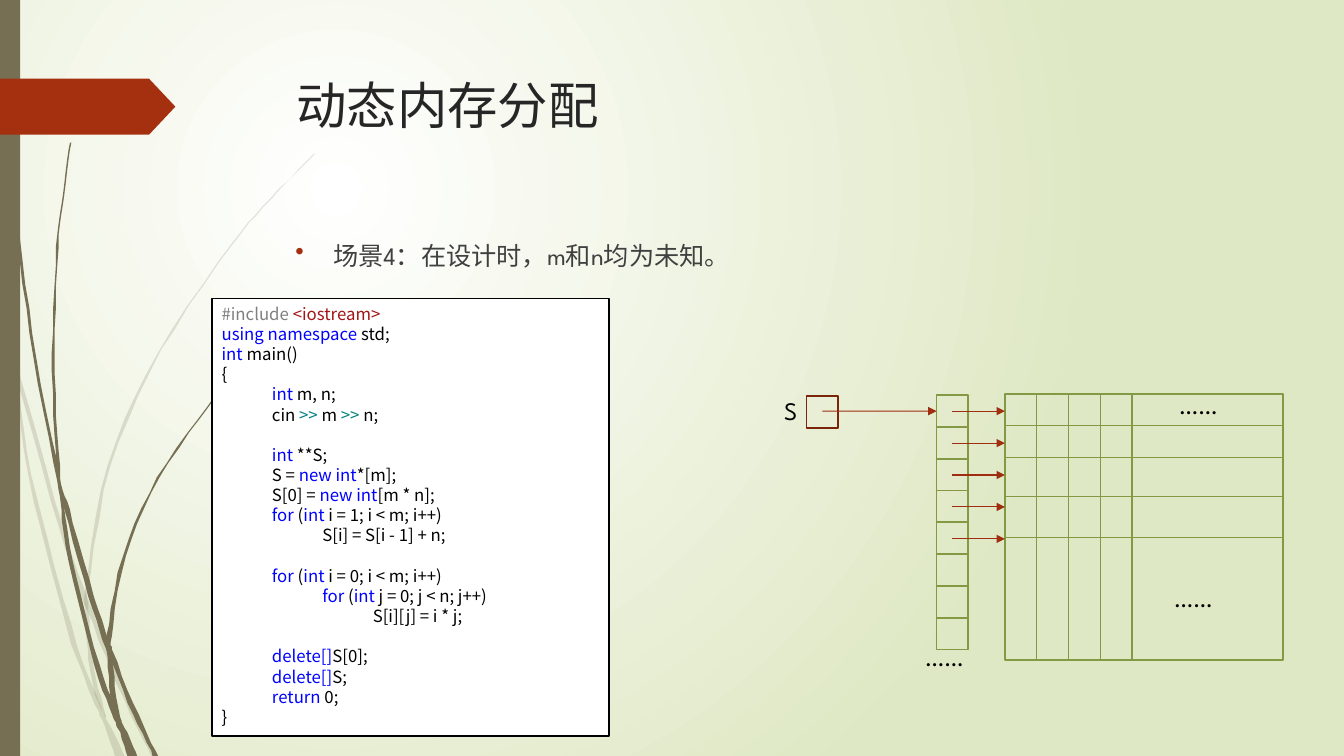
from dataclasses import dataclass
from pptx import Presentation
from pptx.dml.color import RGBColor as RGB
from pptx.enum.shapes import MSO_CONNECTOR as LINK, MSO_SHAPE as SHAPE
from pptx.enum.text import MSO_ANCHOR as ANCHOR, PP_ALIGN as ALIGN
from pptx.oxml.ns import qn
from pptx.oxml.xmlchemy import OxmlElement as Node
from pptx.util import Pt


@dataclass(frozen=True)
class Theme:
    face: str = "League Spartan"
    mono: str = "Noto Sans CJK SC"
    head: int = 36
    body: int = 18
    code: int = 12
    white: str = "FFFFFF"
    black: str = "000000"
    pale: str = "DFE8C4"
    olive: str = "766F54"
    red: str = "A53010"
    title: str = "262626"
    text: str = "404040"
    green: str = "839943"
    arrow: str = "9E2E0F"
    root: str = "7A240C"
    key: str = "0000FF"


T = Theme()
TINTS = {"#include ": "808080", "<iostream>": "A31515", ">>": "008080"}

# Text between bars is coloured; two spaces make one level.
CODE = """|#include ||<iostream>|
|using namespace |std;
|int| main()
{
  |int| m, n;
  cin |>>| m |>>| n;

  |int| **S;
  S = |new int|*[m];
  S[0] = |new int|[m * n];
  |for| (|int| i = 1; i < m; i++)
    S[i] = S[i - 1] + n;

  |for| (|int| i = 0; i < m; i++)
    |for| (|int| j = 0; j < n; j++)
      S[i][j] = i * j;

  |delete[]|S[0];
  |delete[]|S;
  |return| 0;
}"""

# Each grass blade: left edge, height on the slide, width.
FAINT = [
    [(0, 203, 0), (0, 215, 3), (7.5, 248, 2.7), (12.2, 271, 3), (41.8, 376, 3.2),
     (60.5, 431, 3.5), (88.6, 500, 3.5), (108, 540, 3.6)],
    [(8, 252, 0), (12, 271, 0.6), (20, 338, 2.2), (46.7, 446, 4), (66.2, 499, 3.3),
     (72.7, 514, 3.8), (82, 540, 7)],
    [(224.3, 110, 0.7), (192.7, 142, 0.8), (164.2, 176, 1), (113.5, 250.5, 1.8),
     (77, 332, 2.2), (61.2, 420.5, 2), (60.5, 431, 2.7), (62.6, 465, 2.9),
     (67, 492, 3.5), (75, 512, 0.5)],
]
DARK = [
    [(2.2, 0, 0.7), (2.9, 34.6, 0.7), (5, 79, 0.8), (12.3, 167.5, 1.4),
     (23.8, 255.6, 2.2), (40.7, 343.5, 2.7), (46, 363.6, 3.5), (63.4, 426, 4),
     (76.3, 464.4, 4), (95, 510, 3.6), (109.4, 539.5, 3.6)],
    [(50.2, 101.5, 0.4), (44.6, 139, 0.9), (40.3, 176.4, 1.4), (37.4, 251.3, 1.5),
     (39.6, 323.3, 2.2), (43.5, 363.6, 2.6), (49, 401, 3), (67, 474.5, 4),
     (80, 510, 4.3), (84.2, 519.8, 4.7), (91.4, 539.5, 6.5)],
    [(187.2, 247.7, 0.7), (166.3, 268.6, 0.8), (146.9, 291.6, 1), (112.3, 341.3, 1.7),
     (87.8, 396.7, 2.2), (76.3, 454.3, 3.5), (76.3, 464.4, 3.7), (79.2, 497.5, 4),
     (84.2, 519.8, 3)],
]


def paint(shape, fill=None, line=None, width=1.25):
    shape.shadow.inherit = False
    if fill:
        shape.fill.solid()
        shape.fill.fore_color.rgb = RGB.from_string(fill)
    else:
        shape.fill.background()
    if line:
        shape.line.color.rgb = RGB.from_string(line)
        shape.line.width = Pt(width)
    else:
        shape.line.fill.background()


def style(run, size, color, face=T.face):
    run.font.size = Pt(size)
    run.font.color.rgb = RGB.from_string(color)
    run.font.name = face
    east = Node("a:ea")
    east.set("typeface", T.mono)
    run.font._element.find(qn("a:latin")).addnext(east)


deck = Presentation()
deck.slide_width, deck.slide_height = Pt(960), Pt(540)
slide = deck.slides.add_slide(deck.slide_layouts[5])
shapes = slide.shapes

# Background
back = slide.background.fill
back.gradient()
for stop, color in zip(back.gradient_stops, (T.white, T.pale)):
    stop.color.rgb = RGB.from_string(color)
grad = slide._element.find(".//" + qn("a:gradFill"))
grad.remove(grad.find(qn("a:lin")))
ring, focus = Node("a:path"), Node("a:fillToRect")
ring.set("path", "circle")
for side, part in zip("ltrb", (50000, 50000, 100000, 100000)):
    focus.set(side, str(part))
ring.append(focus)
grad.append(ring)

# Grass blades, smoothed through their points
for blade in FAINT + DARK:
    ends = [blade[0], *blade, blade[-1]]
    mids = []
    for a, b, c, d in zip(ends, ends[1:], ends[2:], ends[3:]):
        for t in (0, 0.2, 0.4, 0.6, 0.8):
            mids.append([
                q + t / 2 * (r - p + t * (2 * p - 5 * q + 4 * r - s + t * (3 * (q - r) + s - p)))
                for p, q, r, s in zip(a, b, c, d)])
    mids.append(blade[-1])
    rim = [(x, y) for x, y, w in mids] + [(x + w, y) for x, y, w in reversed(mids)]
    pen = shapes.build_freeform(*rim[0], scale=Pt(1))
    pen.add_line_segments(rim[1:], close=True)
    leaf = pen.convert_to_shape()
    paint(leaf, T.olive)
    if blade in FAINT:
        alpha = Node("a:alpha")
        alpha.set("val", "20000")
        leaf._element.spPr.find(".//" + qn("a:srgbClr")).append(alpha)

bar = shapes.add_shape(SHAPE.RECTANGLE, 0, 0, Pt(14.4), Pt(540))
paint(bar, T.olive)
tag = shapes.add_shape(SHAPE.PENTAGON, 0, Pt(56.2), Pt(125.3), Pt(40))
tag.adjustments[0] = 0.47
paint(tag, T.red)

# Title and bullet
title = shapes.title
title.left, title.top, title.width, title.height = Pt(204.5), Pt(49), Pt(702), Pt(100.8)
frame = title.text_frame
frame.text = "动态内存分配"
frame.vertical_anchor = ANCHOR.TOP
frame.paragraphs[0].alignment = ALIGN.LEFT
style(frame.paragraphs[0].runs[0], T.head, T.title)

body = shapes.add_textbox(Pt(203.8), Pt(167.8), Pt(702), Pt(297)).text_frame
body.word_wrap = True
body.text = "场景4：在设计时，m和n均为未知。"
style(body.paragraphs[0].runs[0], T.body, T.text)
props = body.paragraphs[0]._p.get_or_add_pPr()
props.set("marL", str(Pt(27)))
props.set("indent", str(Pt(-27)))
tint, rgb, dot = Node("a:buClr"), Node("a:srgbClr"), Node("a:buChar")
rgb.set("val", T.red)
tint.append(rgb)
dot.set("char", "•")
props.extend([tint, dot])

# Code listing
panel = shapes.add_shape(SHAPE.RECTANGLE, Pt(151.2), Pt(213.2), Pt(283.6), Pt(312.4))
paint(panel, T.white, T.black)
frame = panel.text_frame
frame.word_wrap = True
frame.vertical_anchor = ANCHOR.TOP
pitch, gap, para = Pt(14.4), 0, frame.paragraphs[0]
for row in CODE.split("\n"):
    if not row:
        gap = pitch
        continue
    para = para if not para.runs else frame.add_paragraph()
    para.alignment, para.line_spacing, para.space_before = ALIGN.LEFT, pitch, gap
    gap, line = 0, row.lstrip(" ")
    para._p.get_or_add_pPr().set("marL", str(Pt(18 * (len(row) - len(line)))))
    for n, word in enumerate(line.split("|")):
        if word:
            run = para.add_run()
            run.text = word
            style(run, T.code, TINTS.get(word, T.key) if n % 2 else T.black, T.mono)

# Matrix, row pointers and the root pointer
left, top, wide, high, step = 717.8, 281.5, 198.8, 189.8, 22.7
grid = shapes.add_shape(SHAPE.RECTANGLE, Pt(left), Pt(top), Pt(wide), Pt(high))
paint(grid, None, T.green)
cells = []
for n in range(8):
    cell = shapes.add_shape(SHAPE.RECTANGLE, Pt(669), Pt(282.3 + n * step), Pt(step), Pt(step))
    paint(cell, None, T.green)
    cells.append(cell)
root = shapes.add_shape(SHAPE.RECTANGLE, Pt(576), Pt(282.8), Pt(step), Pt(step))
paint(root, None, T.root)

rules = [(left, y, left + wide, y) for y in (304, 327, 355, 384)]
rules += [(left + n * step, top, left + n * step, top + high) for n in range(1, 5)]
arrows = [(680, 293.7 + n * 22.8, left, 293.7 + n * 22.8) for n in range(5)]
arrows.append((587.5, 293.7, 669, 293.7))
for ends in rules + arrows:
    link = shapes.add_connector(LINK.STRAIGHT, *map(Pt, ends))
    link.line.width = Pt(0.75)
    link.line.color.rgb = RGB.from_string(T.arrow if ends in arrows else T.green)
    if ends in arrows:
        tip = Node("a:tailEnd")
        tip.set("type", "triangle")
        link.line._get_or_add_ln().append(tip)
    link._element.spPr.append(Node("a:effectLst"))
link.end_connect(cells[0], 1)

for word, x, y, w in (("……", 835.2, 274.3, 51), ("……", 831.6, 412.6, 51),
                      ("……", 653.8, 454.3, 51), ("S", 553, 278.6, 24)):
    label = shapes.add_textbox(Pt(x), Pt(y), Pt(w), Pt(29)).text_frame
    label.word_wrap = word == "S"
    label.text = word
    style(label.paragraphs[0].runs[0], T.body, T.black)

deck.save("out.pptx")
